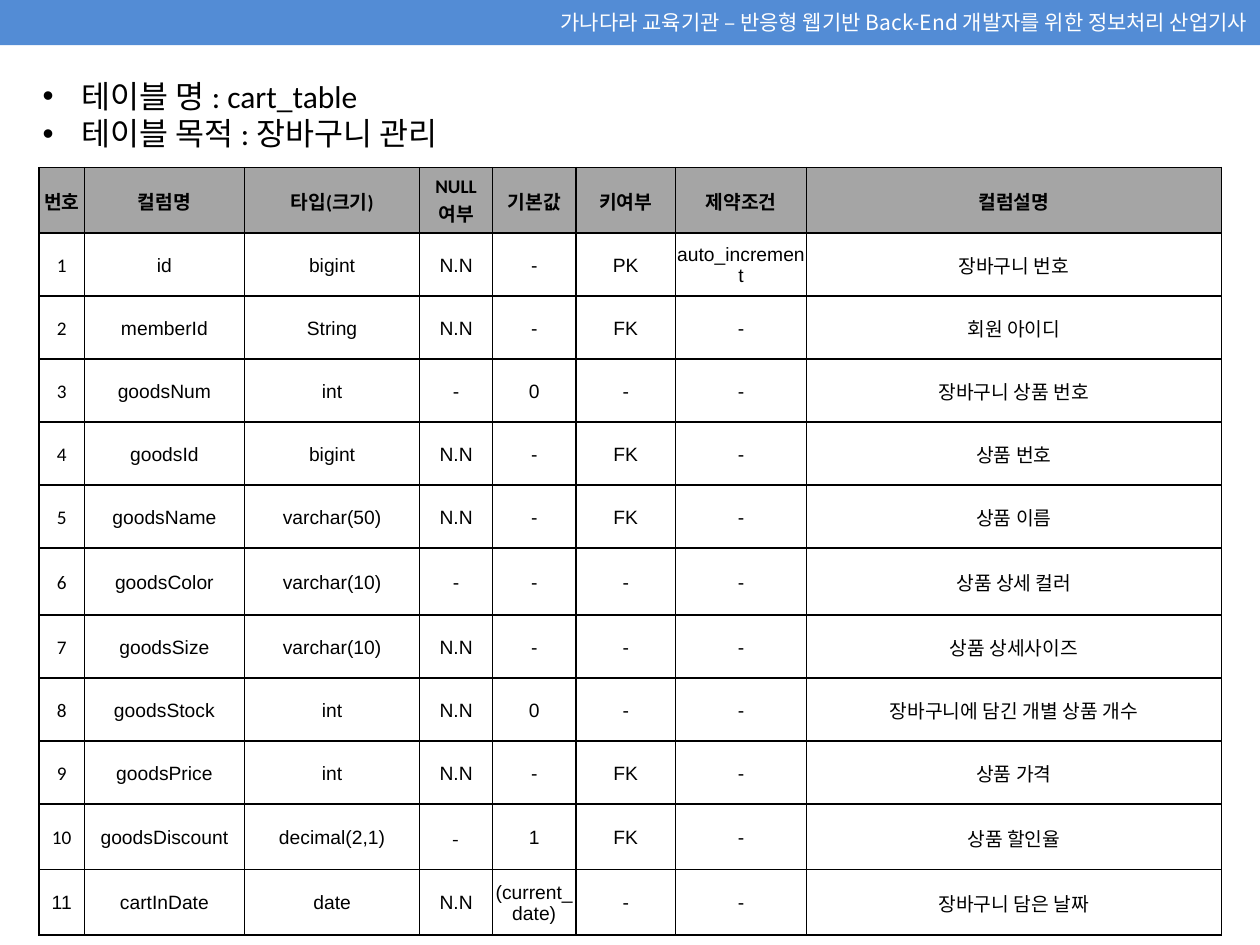
from dataclasses import astuple, dataclass

from lxml import etree
from pptx import Presentation
from pptx.dml.color import RGBColor
from pptx.enum.shapes import MSO_SHAPE
from pptx.enum.text import MSO_ANCHOR, PP_ALIGN
from pptx.oxml.ns import qn
from pptx.util import Cm, Pt

BLACK = RGBColor(0x00, 0x00, 0x00)
WHITE = RGBColor(0xFF, 0xFF, 0xFF)
BLUE = RGBColor(0x53, 0x8C, 0xD5)
GREY = RGBColor(0xA5, 0xA5, 0xA5)
RECT = MSO_SHAPE.RECTANGLE
MIDDLE = MSO_ANCHOR.MIDDLE
CENTER, RIGHT = PP_ALIGN.CENTER, PP_ALIGN.RIGHT
SANS, LATIN, KOREAN = "Arial", "Calibri", "Noto Sans CJK KR"


@dataclass
class Column:
    """One row of the sheet: a column of the database table."""
    num: str
    name: str
    kind: str
    null: str
    default: str
    key: str
    rule: str
    note: str


HEAD = Column("번호", "컬럼명", "타입(크기)", "NULL 여부", "기본값", "키여부", "제약조건", "컬럼설명")
ROWS = [
    Column("1", "id", "bigint", "N.N", "-", "PK", "auto_increment", "장바구니 번호"),
    Column("2", "memberId", "String", "N.N", "-", "FK", "-", "회원 아이디"),
    Column("3", "goodsNum", "int", "-", "0", "-", "-", "장바구니 상품 번호"),
    Column("4", "goodsId", "bigint", "N.N", "-", "FK", "-", "상품 번호"),
    Column("5", "goodsName", "varchar(50)", "N.N", "-", "FK", "-", "상품 이름"),
    Column("6", "goodsColor", "varchar(10)", "-", "-", "-", "-", "상품 상세 컬러"),
    Column("7", "goodsSize", "varchar(10)", "N.N", "-", "-", "-", "상품 상세사이즈"),
    Column("8", "goodsStock", "int", "N.N", "0", "-", "-", "장바구니에 담긴 개별 상품 개수"),
    Column("9", "goodsPrice", "int", "N.N", "-", "FK", "-", "상품 가격"),
    Column("10", "goodsDiscount", "decimal(2,1)", "-", "1", "FK", "-", "상품 할인율"),
    Column("11", "cartInDate", "date", "N.N", "(current_date)", "-", "-", "장바구니 담은 날짜"),
]
WIDTHS = [0.91, 3.23, 3.53, 1.47, 1.68, 2.01, 2.64, 8.36]
HEIGHT = 1.27
TALL = {0: 1.32, 6: 1.35, 10: 1.32, 11: 1.32}


def style(para, size: float, font: str, color: RGBColor, bold: bool = False) -> None:
    for run in para.runs:
        run.font.size = Pt(size)
        run.font.name = font
        run.font.bold = bold
        run.font.color.rgb = color
        east = etree.SubElement(run._r.get_or_add_rPr(), qn("a:ea"))
        east.set("typeface", KOREAN)


def tint(parent, tag: str, color: RGBColor) -> None:
    node = etree.SubElement(parent, qn(tag))
    etree.SubElement(node, qn("a:srgbClr")).set("val", str(color))


def bullet(para) -> None:
    props = para._p.get_or_add_pPr()
    props.set("marL", str(Cm(0.79)))
    props.set("indent", str(-Cm(0.79)))
    tint(props, "a:buClr", BLACK)
    etree.SubElement(props, qn("a:buFont")).set("typeface", SANS)
    etree.SubElement(props, qn("a:buChar")).set("char", "•")


def border(cell) -> None:
    props = cell._tc.get_or_add_tcPr()
    for spot, side in enumerate(("a:lnL", "a:lnR", "a:lnT", "a:lnB")):
        line = etree.Element(qn(side))
        line.set("w", str(Pt(1)))
        tint(line, "a:solidFill", BLACK)
        props.insert(spot, line)


def fill_cell(cell, text: str, font: str, head: bool) -> None:
    cell.text_frame.text = text
    cell.vertical_anchor = MIDDLE
    cell.margin_left = cell.margin_right = cell.margin_top = Cm(0.03)
    cell.margin_bottom = 0
    if head:
        cell.fill.solid()
        cell.fill.fore_color.rgb = GREY
    else:
        cell.fill.background()
    para = cell.text_frame.paragraphs[0]
    para.alignment = CENTER
    style(para, 11, font, BLACK, head)
    border(cell)


def pick_font(row: int, col: int) -> str:
    if (row, col) == (10, 3):
        return KOREAN
    numbered = col == 0 and row < len(ROWS)
    return LATIN if row == 0 or numbered else SANS


def add_banner(slide, text: str) -> None:
    bar = slide.shapes.add_shape(RECT, 0, 0, Cm(25.4), Cm(0.91))
    bar.shadow.inherit = False
    bar.fill.solid()
    bar.fill.fore_color.rgb = BLUE
    bar.line.fill.background()
    frame = bar.text_frame
    frame.text = text
    frame.vertical_anchor = MIDDLE
    frame.paragraphs[0].alignment = RIGHT
    style(frame.paragraphs[0], 12, KOREAN, WHITE)


def add_title(slide, lines: list[str]) -> None:
    box = slide.shapes.add_textbox(Cm(0.61), Cm(1.42), Cm(24.71), Cm(1.8))
    frame = box.text_frame
    frame.word_wrap = True
    frame.text = "\n".join(lines)
    for para in frame.paragraphs:
        bullet(para)
        style(para, 18, LATIN, BLACK)


def add_grid(slide, rows: list[Column]) -> None:
    heights = [TALL.get(i, HEIGHT) for i in range(len(rows))]
    grid = slide.shapes.add_table(
        len(rows), len(WIDTHS), Cm(0.79), Cm(3.38),
        Cm(sum(WIDTHS)), Cm(sum(heights))).table
    grid.first_row = grid.horz_banding = False
    for col, width in zip(grid.columns, WIDTHS):
        col.width = Cm(width)
    for r, (item, height) in enumerate(zip(rows, heights)):
        grid.rows[r].height = Cm(height)
        for c, text in enumerate(astuple(item)):
            fill_cell(grid.cell(r, c), text, pick_font(r, c), r == 0)


def main() -> None:
    deck = Presentation()
    deck.slide_width, deck.slide_height = Cm(25.4), Cm(19.05)
    slide = deck.slides.add_slide(deck.slide_layouts[6])

    # Top banner
    add_banner(slide, "가나다라 교육기관 – 반응형 웹기반 Back-End 개발자를 위한 정보처리 산업기사")
    # Table name and purpose
    add_title(slide, ["테이블 명 : cart_table", "테이블 목적 : 장바구니 관리"])
    # Column definitions
    add_grid(slide, [HEAD, *ROWS])

    deck.save("out.pptx")


if __name__ == "__main__":
    main()
